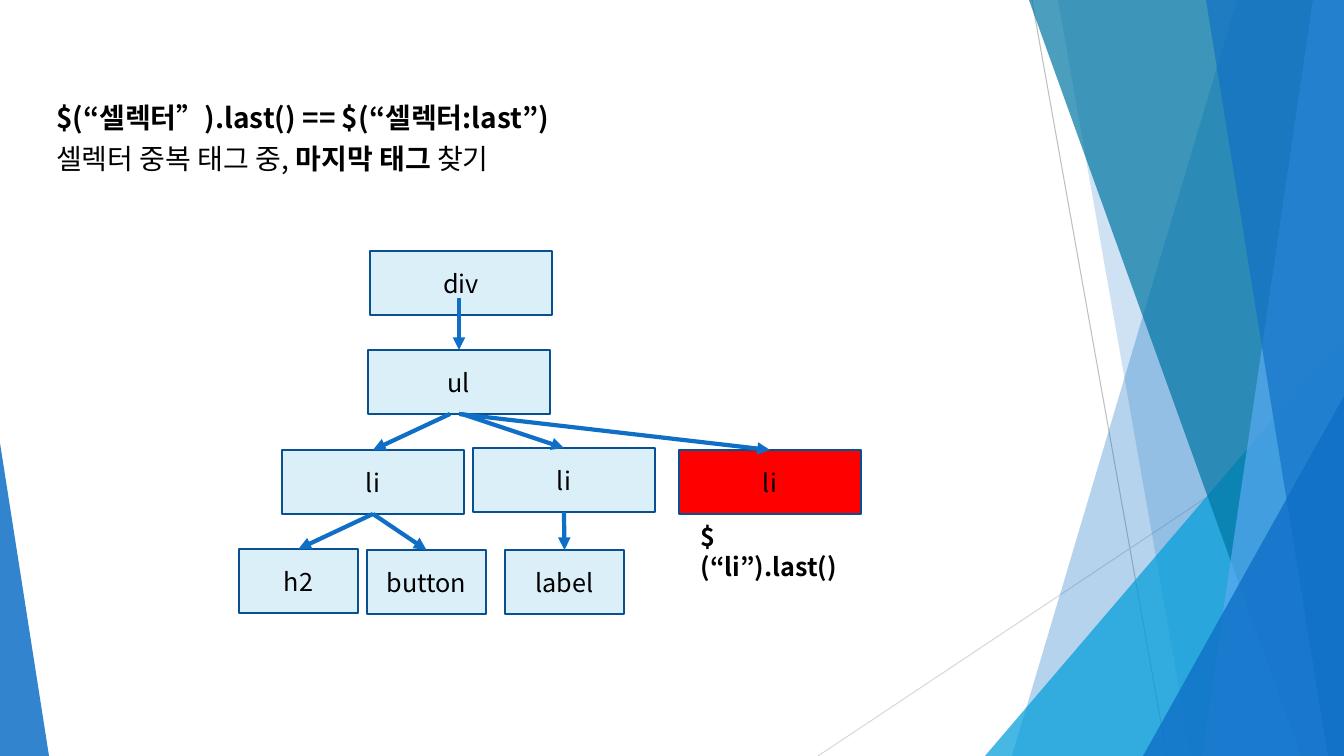
from dataclasses import dataclass
from typing import Optional

from lxml.etree import SubElement
from pptx import Presentation
from pptx.dml.color import RGBColor
from pptx.enum.shapes import MSO_CONNECTOR, MSO_SHAPE
from pptx.enum.text import MSO_ANCHOR, MSO_AUTO_SIZE, PP_ALIGN
from pptx.oxml.ns import qn
from pptx.util import Emu, Pt

EMU_PER_PX = 914400 / 100.8
PAGE_WIDTH, PAGE_HEIGHT = 1344, 756
TOP, BOTTOM = 0, 2
FONT = "Noto Sans CJK KR"

BLACK = RGBColor(0x00, 0x00, 0x00)
RED = RGBColor(0xFF, 0x00, 0x00)
PALE_BLUE = RGBColor(0xDB, 0xEF, 0xF9)
NAVY = RGBColor(0x08, 0x50, 0x91)
BLUE = RGBColor(0x0F, 0x6F, 0xC6)
CYAN = RGBColor(0x00, 0x9D, 0xD9)
TEAL = RGBColor(0x00, 0x76, 0xA3)
SKY = RGBColor(0x59, 0xAA, 0xF2)
GREY = RGBColor(0xBF, 0xBF, 0xBF)
LIGHT_GREY = RGBColor(0xD9, 0xD9, 0xD9)


@dataclass(frozen=True)
class Band:
    top_left: int
    bottom_left: int
    color: RGBColor
    opacity: int


@dataclass(frozen=True)
class Corner:
    left: int
    top: int
    width: int
    apex: int
    color: RGBColor
    opacity: int


@dataclass(frozen=True)
class Line:
    start: tuple[int, int]
    end: tuple[int, int]
    color: RGBColor


@dataclass(frozen=True)
class Node:
    key: str
    text: str
    left: int
    top: int
    width: int = 182
    fill: RGBColor = PALE_BLUE


@dataclass(frozen=True)
class Link:
    parent: str
    child: str
    start: Optional[tuple[int, int]] = None


@dataclass(frozen=True)
class Span:
    text: str
    bold: bool = False


LINES = [
    Line((1032, 0), (1167, 756), GREY),
    Line((1344, 406), (818, 756), LIGHT_GREY),
]
DECORATION = [
    Band(1237, 1012, BLUE, 30),
    Band(1058, 1191, BLUE, 20),
    Corner(985, 336, 359, 1, CYAN, 72),
    Band(1029, 1301, TEAL, 70),
    Band(1313, 1202, SKY, 70),
    Band(1206, 1328, BLUE, 65),
    Corner(1143, 396, 201, 1, BLUE, 80),
    Corner(0, 443, 49, 0, BLUE, 85),
]
NODE_HEIGHT = 64
NODES = [
    Node("div", "div", 370, 251),
    Node("ul", "ul", 368, 350),
    Node("first", "li", 282, 450),
    Node("second", "li", 473, 448),
    Node("h2", "h2", 239, 549, 119),
    Node("button", "button", 367, 550, 119),
    Node("label", "label", 505, 550, 119),
    Node("last", "li", 679, 450, fill=RED),
]
LINKS = [
    Link("div", "ul", (459, 298)),
    Link("ul", "first", (450, 414)),
    Link("ul", "second", (462, 414)),
    Link("first", "h2"),
    Link("first", "button"),
    Link("second", "label"),
    Link("ul", "last"),
]
HEADING = [
    [Span("$(“셀렉터”).last() == $(“셀렉터:last”)", True)],
    [Span("셀렉터 중복 태그 중, "), Span("마지막 태그", True), Span(" 찾기")],
]
HEADING_FRAME = {"word_wrap": True, "auto_size": MSO_AUTO_SIZE.NONE,
                 "vertical_anchor": MSO_ANCHOR.TOP}
HEADING_PARA = {"alignment": PP_ALIGN.LEFT, "line_spacing": 0.9}
NODE_FRAME = {"word_wrap": True, "vertical_anchor": MSO_ANCHOR.MIDDLE}
NODE_PARA = {"alignment": PP_ALIGN.CENTER}
CAPTION_FRAME = {"word_wrap": True, "vertical_anchor": MSO_ANCHOR.TOP}


def px(value: int) -> Emu:
    return Emu(round(value * EMU_PER_PX))


def apply(target, values: dict) -> None:
    for name, value in values.items():
        setattr(target, name, value)


def add_span(para, span: Span, size: int) -> None:
    run = para.add_run()
    run.text = span.text
    apply(run.font, {"name": FONT, "size": Pt(size), "bold": span.bold})
    run.font.color.rgb = BLACK
    SubElement(run.font._element, qn("a:ea"), typeface=FONT)


def paint(shape, color: RGBColor, opacity: int) -> None:
    shape.shadow.inherit = False
    shape.fill.solid()
    shape.fill.fore_color.rgb = color
    shape.line.fill.background()
    swatch = shape.element.spPr.find(qn("a:solidFill")).find(qn("a:srgbClr"))
    SubElement(swatch, qn("a:alpha"), val=str(opacity * 1000))


def draw_band(page, band: Band) -> None:
    builder = page.shapes.build_freeform(band.top_left, 0, EMU_PER_PX)
    builder.add_line_segments([(PAGE_WIDTH, 0), (PAGE_WIDTH, PAGE_HEIGHT),
                               (band.bottom_left, PAGE_HEIGHT)])
    paint(builder.convert_to_shape(), band.color, band.opacity)


def draw_corner(page, corner: Corner) -> None:
    shape = page.shapes.add_shape(
        MSO_SHAPE.ISOSCELES_TRIANGLE, px(corner.left), px(corner.top),
        px(corner.width), px(PAGE_HEIGHT - corner.top))
    shape.adjustments[0] = corner.apex
    paint(shape, corner.color, corner.opacity)


def draw_line(page, line: Line, width: float):
    connector = page.shapes.add_connector(
        MSO_CONNECTOR.STRAIGHT, *map(px, line.start + line.end))
    connector.line.color.rgb = line.color
    connector.line.width = Pt(width)
    SubElement(connector.element.spPr, qn("a:effectLst"))
    return connector


def draw_node(page, node: Node):
    box = page.shapes.add_shape(MSO_SHAPE.RECTANGLE, px(node.left), px(node.top),
                                px(node.width), px(NODE_HEIGHT))
    box.shadow.inherit = False
    box.fill.solid()
    box.fill.fore_color.rgb = node.fill
    box.line.color.rgb = NAVY
    box.line.width = Pt(1.5)
    apply(box.text_frame, NODE_FRAME)
    para = box.text_frame.paragraphs[0]
    apply(para, NODE_PARA)
    add_span(para, Span(node.text), 18)
    return box


def draw_link(page, link: Link, boxes: dict) -> None:
    arrow = draw_line(page, Line(link.start or (0, 0), (0, 0), BLUE), 3)
    if link.start is None:
        arrow.begin_connect(boxes[link.parent], BOTTOM)
    arrow.end_connect(boxes[link.child], TOP)
    SubElement(arrow.element.spPr.find(qn("a:ln")), qn("a:tailEnd"), type="triangle")


def write_heading(title) -> None:
    apply(title, {"left": px(46), "top": px(99), "width": px(854), "height": px(101)})
    frame = title.text_frame
    apply(frame, HEADING_FRAME)
    for index, spans in enumerate(HEADING):
        para = frame.add_paragraph() if index else frame.paragraphs[0]
        apply(para, HEADING_PARA | {"space_before": Pt(8 if index else 0)})
        for span in spans:
            add_span(para, span, 20)


def write_caption(page) -> None:
    box = page.shapes.add_textbox(px(691), px(516), px(160), px(72))
    apply(box.text_frame, CAPTION_FRAME)
    add_span(box.text_frame.paragraphs[0], Span("$(“li”).last()", True), 18)


def main() -> None:
    deck = Presentation()
    apply(deck, {"slide_width": px(PAGE_WIDTH), "slide_height": px(PAGE_HEIGHT)})
    page = deck.slides.add_slide(deck.slide_layouts.get_by_name("Title Only"))
    for line in LINES:
        draw_line(page, line, 0.75)
    for part in DECORATION:
        draw = draw_band if isinstance(part, Band) else draw_corner
        draw(page, part)
    write_heading(page.shapes.title)
    boxes = {node.key: draw_node(page, node) for node in NODES}
    for link in LINKS:
        draw_link(page, link, boxes)
    write_caption(page)
    deck.save("out.pptx")


if __name__ == "__main__":
    main()
